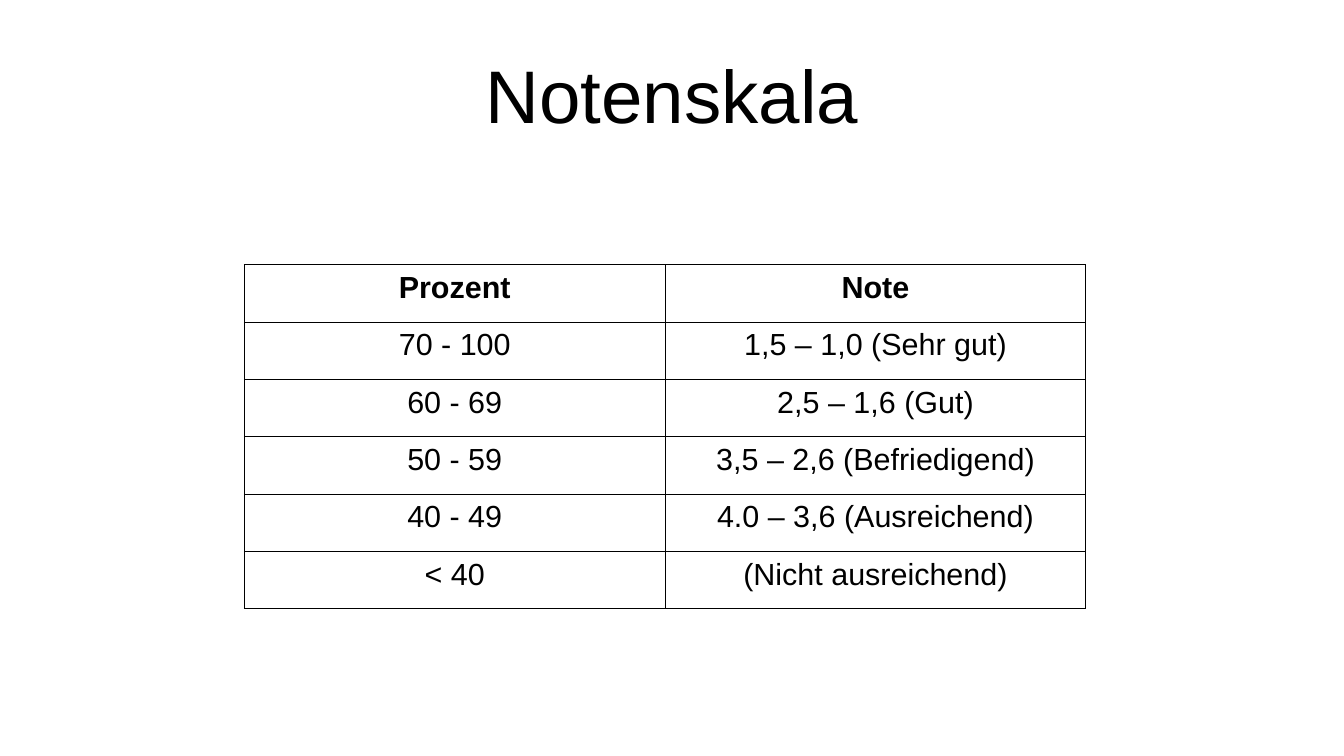
from lxml.etree import SubElement
from pptx import Presentation
from pptx.dml.color import RGBColor
from pptx.enum.text import MSO_ANCHOR as Anchor, PP_ALIGN as Align
from pptx.oxml.ns import qn
from pptx.util import Pt

BLACK = "000000"
GRADES = [
    ("Prozent", "Note"),
    ("70 - 100", "1,5 – 1,0 (Sehr gut)"),
    ("60 - 69", "2,5 – 1,6 (Gut)"),
    ("50 - 59", "3,5 – 2,6 (Befriedigend)"),
    ("40 - 49", "4.0 – 3,6 (Ausreichend)"),
    ("< 40", "(Nicht ausreichend)"),
]
COLUMN_WIDTH, ROW_HEIGHT = 248.4, 33.9


def add_centred_text(frame, text, size, bold=False):
    para = frame.paragraphs[0]
    para.alignment = Align.CENTER
    span = para.add_run()
    span.text = text
    span.font.name = "Arial"
    span.font.size = Pt(size)
    span.font.bold = bold
    span.font.color.rgb = RGBColor.from_string(BLACK)


def add_cell_borders(cell, color, width):
    properties = cell._tc.get_or_add_tcPr()
    for side in ("lnL", "lnR", "lnT", "lnB"):
        line = SubElement(properties, qn(f"a:{side}"), w=str(Pt(width)))
        fill = SubElement(line, qn("a:solidFill"))
        SubElement(fill, qn("a:srgbClr"), val=color)


deck = Presentation()
deck.slide_width, deck.slide_height = Pt(793.44), Pt(446.4)
page = deck.slides.add_slide(deck.slide_layouts[6])

title = page.shapes.add_textbox(Pt(39.6), Pt(18), Pt(714.24), Pt(74.88)).text_frame
title.word_wrap = True
title.vertical_anchor = Anchor.MIDDLE
title.margin_left = title.margin_right = title.margin_top = title.margin_bottom = 0
add_centred_text(title, "Notenskala", 44)

table = page.shapes.add_table(
    len(GRADES), 2, Pt(144.25), Pt(156.24), Pt(2 * COLUMN_WIDTH), Pt(len(GRADES) * ROW_HEIGHT)
).table
table.first_row = table.horz_banding = False
for column in table.columns:
    column.width = Pt(COLUMN_WIDTH)

for row_index, grade in enumerate(GRADES):
    table.rows[row_index].height = Pt(ROW_HEIGHT)
    for column_index, text in enumerate(grade):
        cell = table.cell(row_index, column_index)
        cell.margin_left = cell.margin_right = Pt(2.9)
        cell.margin_top = cell.margin_bottom = Pt(3.6)
        add_cell_borders(cell, BLACK, 0.57)
        cell.fill.background()
        add_centred_text(cell.text_frame, text, 18, bold=row_index == 0)

deck.save("out.pptx")
